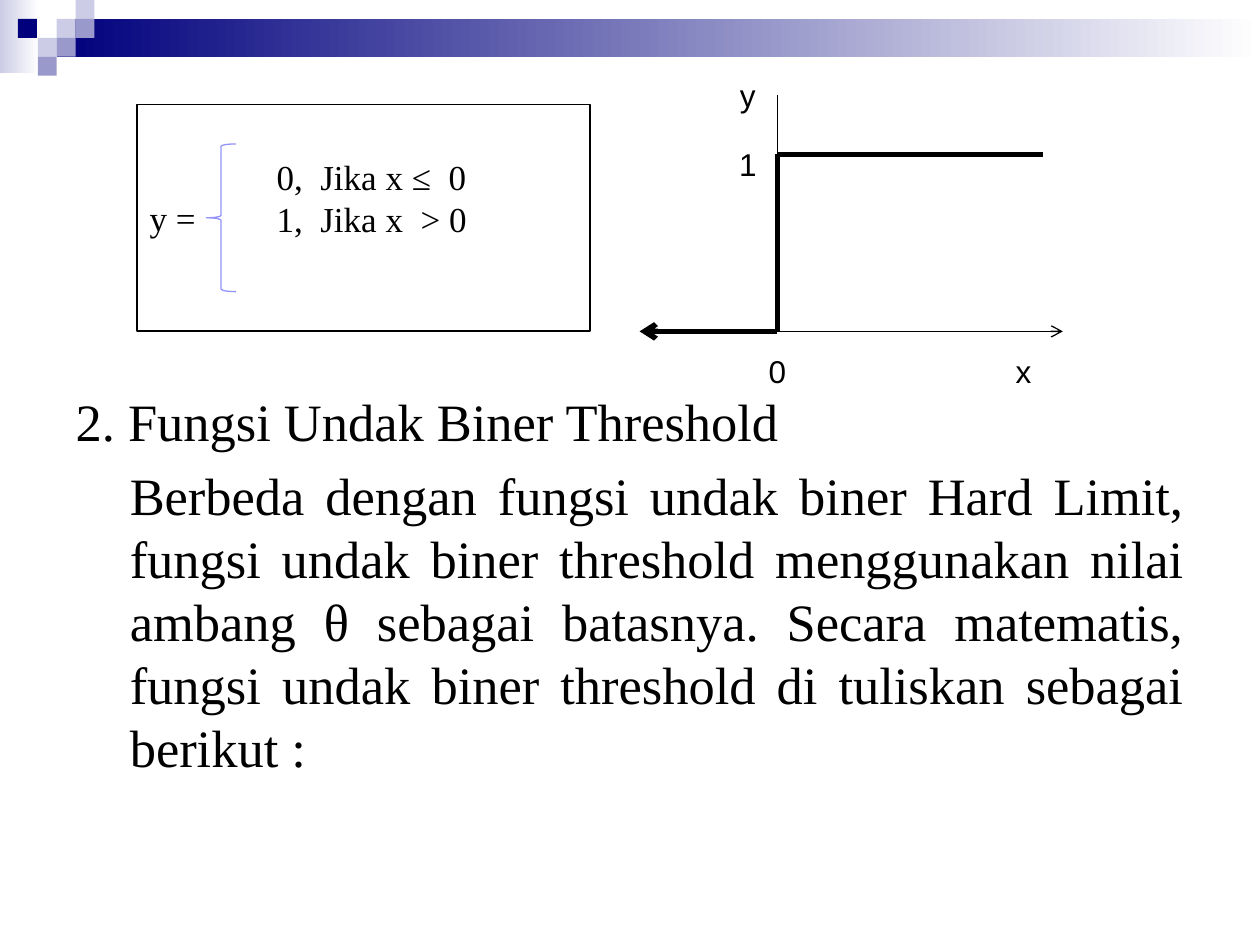
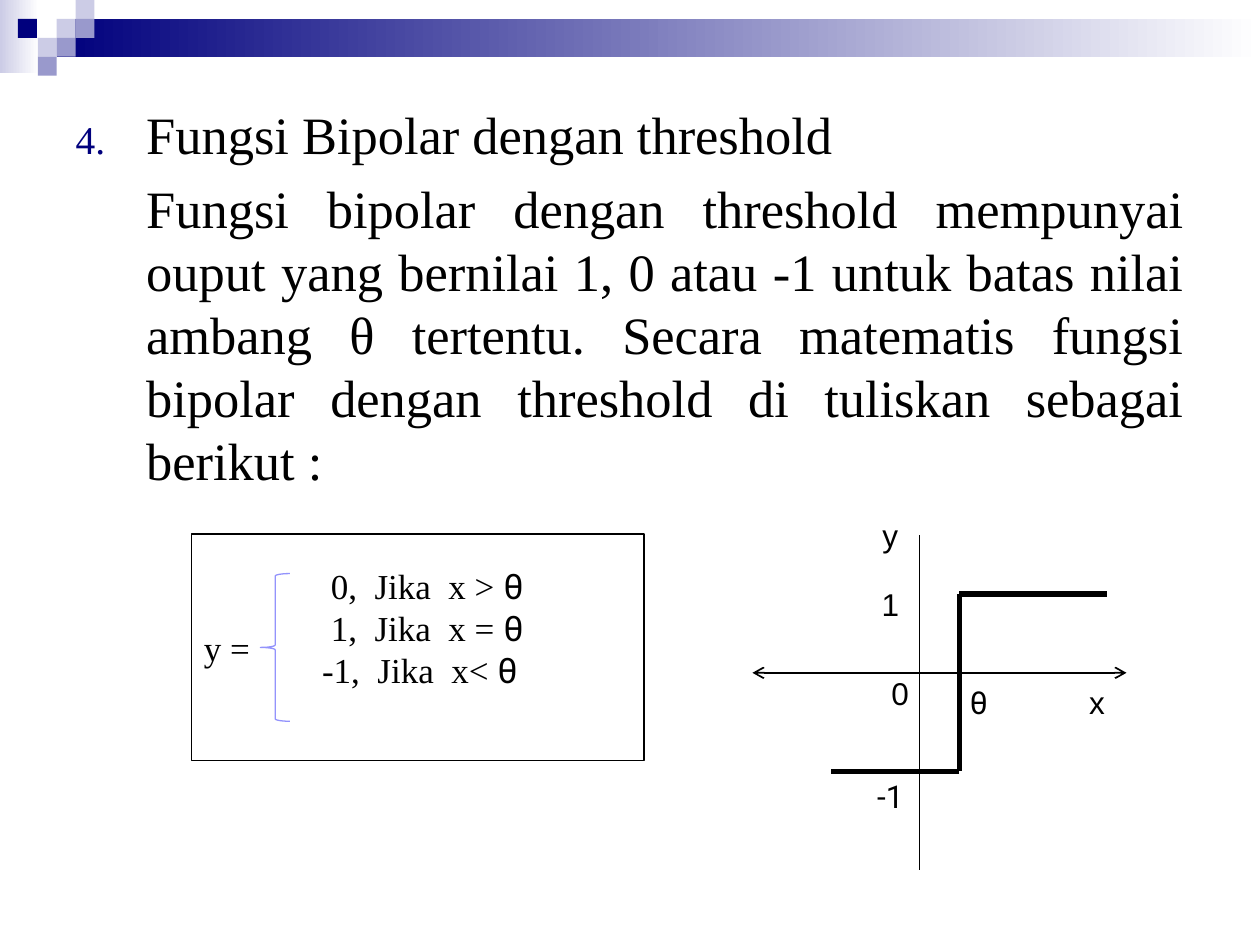
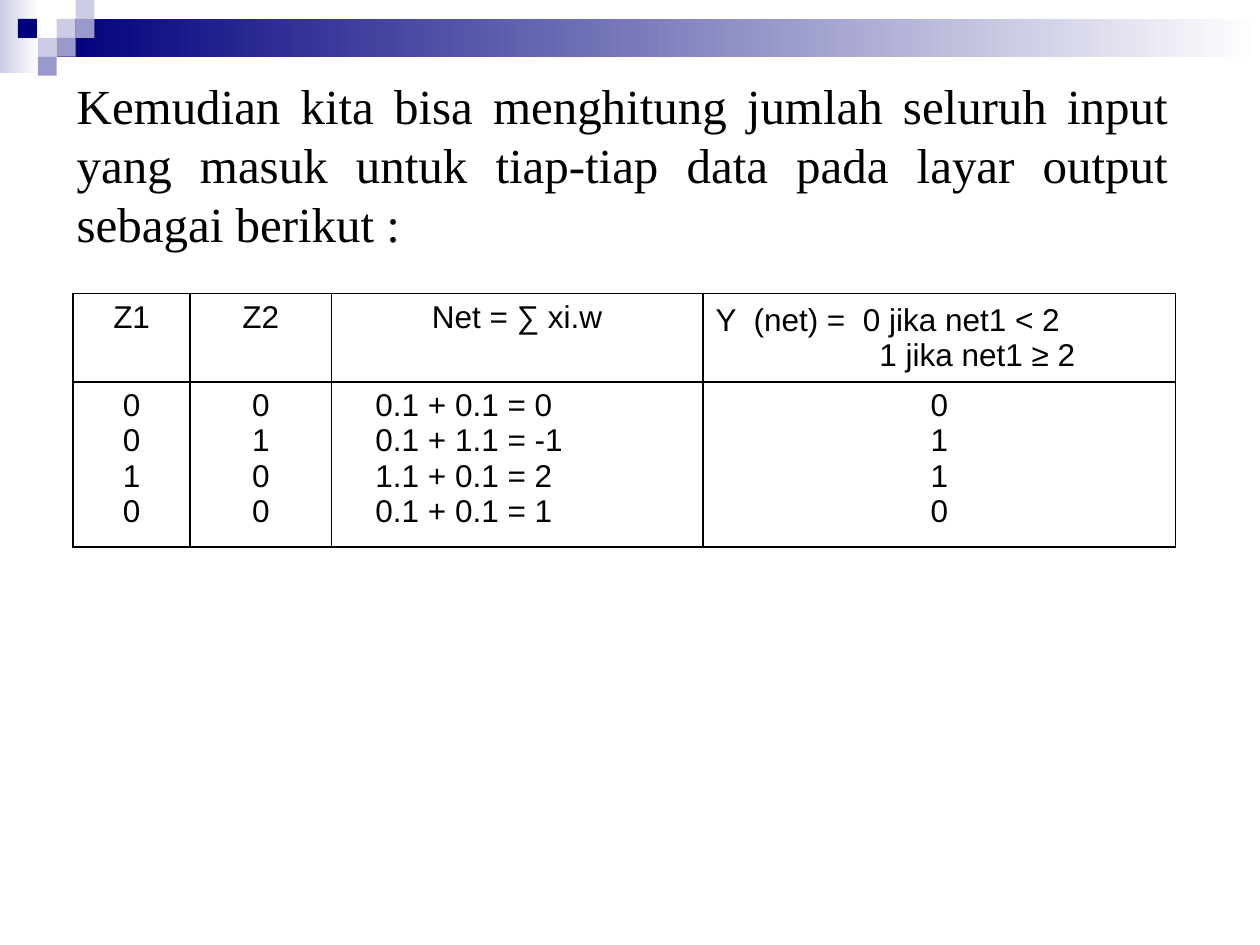
from lxml import etree
from pptx import Presentation
from pptx.dml.color import RGBColor
from pptx.enum.shapes import MSO_CONNECTOR, MSO_SHAPE
from pptx.enum.text import MSO_ANCHOR, MSO_AUTO_SIZE, PP_ALIGN
from pptx.oxml.ns import qn
from pptx.util import Inches, Pt

RECT, BRACE = MSO_SHAPE.RECTANGLE, MSO_SHAPE.LEFT_BRACE
STRAIGHT = MSO_CONNECTOR.STRAIGHT
LEFT, CENTER, JUSTIFY = PP_ALIGN.LEFT, PP_ALIGN.CENTER, PP_ALIGN.JUSTIFY
TOP, MIDDLE = MSO_ANCHOR.TOP, MSO_ANCHOR.MIDDLE

SERIF, SANS, GREEK = "Times New Roman", "Arial", "Roboto"
BLACK, WHITE = "000000", "FFFFFF"
NAVY, LILAC, PALE, BRACE_BLUE = "00007D", "9999CC", "CCCCE6", "9393FC"

UNIT = 5 / 64   # grid step of formulas and graphs, inches
TILE = 0.15     # side of one tile in the top band, inches
THIN, MEDIUM, THICK = 0.75, 1, 3


def rgb(code):
    return RGBColor.from_string(code)


def box_inches(left, top, width, height):
    return [Inches(v) for v in (left, top, width, height)]


def on_grid(origin, column, row, columns, rows):
    return box_inches(origin[0] + column * UNIT, origin[1] + row * UNIT,
                      columns * UNIT, rows * UNIT)


def set_font(font, size, name=SERIF):
    font.size, font.name = Pt(size), name
    font.color.rgb = rgb(BLACK)


def set_indent(paragraph, margin, first=0):
    properties = paragraph._p.get_or_add_pPr()
    properties.set("marL", str(Inches(margin)))
    properties.set("indent", str(Inches(first)))
    return properties


# Shared top band, kept on the master
def add_band(prs, slide):
    band = slide.shapes.add_group_shape()

    def add_block(left, top, width, height, color, fades=False):
        block = band.shapes.add_shape(
            RECT, *box_inches(left, top, width, height))
        block.shadow.inherit = False
        block.line.fill.background()
        if fades:
            block.fill.gradient()
            block.fill.gradient_angle = 0
            for stop, shade in zip(block.fill.gradient_stops, (color, WHITE)):
                stop.color.rgb = rgb(shade)
        else:
            block.fill.solid()
            block.fill.fore_color.rgb = rgb(color)

    add_block(0, 0, 0.31, 0.58, PALE, fades=True)
    add_block(3 * TILE, TILE, 10 - 3 * TILE, 2 * TILE, NAVY, fades=True)
    for column, row, color in ((3, 1, PALE), (4, 0, PALE), (4, 1, LILAC),
                               (2, 2, PALE), (0.95, 1, NAVY),
                               (3, 2, LILAC), (2, 3, LILAC)):
        add_block(column * TILE, row * TILE, TILE, TILE, color)

    for number, item in enumerate(band.element.iter(qn("p:cNvPr")), 100):
        item.set("id", str(number))
    prs.slide_master.element.cSld.spTree.insert(2, band.element)


# Heading and justified explanation in the body placeholder
def add_body(slide, top, height, indent, heading, explanation, number=None):
    body = slide.placeholders[1]
    body.left, body.top, body.width, body.height = box_inches(
        0.5, top, 9, height)
    frame = body.text_frame
    frame.auto_size = MSO_AUTO_SIZE.NONE
    frame.text = heading
    frame.add_paragraph().text = explanation
    for paragraph, first, align in zip(frame.paragraphs, (-indent, 0),
                                       (LEFT, JUSTIFY)):
        paragraph.alignment = align
        set_font(paragraph.font, 30)
        properties = set_indent(paragraph, indent, first)
        if number and first:
            color = etree.SubElement(properties, qn("a:buClr"))
            etree.SubElement(color, qn("a:srgbClr"), val=NAVY)
            etree.SubElement(properties, qn("a:buSzPct"), val="75000")
            etree.SubElement(properties, qn("a:buFont"), typeface=SERIF)
            etree.SubElement(properties, qn("a:buAutoNum"),
                             type="arabicPeriod", startAt=str(number))
        else:
            etree.SubElement(properties, qn("a:buNone"))


# Framed formula: "y =", a brace and its cases
def add_formula(slide, origin, cases):
    shapes = slide.shapes.add_group_shape().shapes
    frame_box = shapes.add_shape(RECT, *on_grid(origin, 0, 0, 46, 23))
    frame_box.fill.solid()
    frame_box.fill.fore_color.rgb = rgb(WHITE)
    brace = shapes.add_shape(BRACE, *on_grid(origin, 7, 4, 3, 15))
    brace.fill.background()
    for outline, color, width in ((frame_box, BLACK, MEDIUM),
                                  (brace, BRACE_BLUE, THIN)):
        outline.shadow.inherit = False
        outline.line.color.rgb = rgb(color)
        outline.line.width = Pt(width)

    frame_box.text_frame.text = "y ="
    frame_box.text_frame.vertical_anchor = MIDDLE
    left_side = frame_box.text_frame.paragraphs[0]
    left_side.alignment = LEFT
    set_font(left_side.font, 20)

    case_list = shapes.add_textbox(*on_grid(origin, 12, 4, 25, 15)).text_frame
    case_list.word_wrap = True
    case_list.vertical_anchor = MIDDLE
    case_list.margin_bottom = Inches(0.37)
    for index, case in enumerate(cases):
        line = case_list.add_paragraph() if index else case_list.paragraphs[0]
        condition, theta, _ = case.partition("θ")
        for part, font_name in ((condition, SERIF), (theta, GREEK)):
            if part:
                run = line.add_run()
                run.text = part
                set_font(run.font, 20, font_name)


# Graph: lines and labels in grid steps from the origin
def add_graph(slide, origin, lines, labels):
    shapes = slide.shapes.add_group_shape().shapes
    for start, end, width, arrows in lines:
        points = [Inches(base + step * UNIT) for point in (start, end)
                  for base, step in zip(origin, point)]
        line = shapes.add_connector(STRAIGHT, *points)
        line.line.color.rgb = rgb(BLACK)
        line.line.width = Pt(width)
        properties = line.element.spPr
        for arrow in arrows:
            etree.SubElement(properties.find(qn("a:ln")), qn(f"a:{arrow}"),
                             type="arrow")
        etree.SubElement(properties, qn("a:effectLst"))
    for text, column, row, columns, rows, font_name in labels:
        frame = shapes.add_textbox(
            *on_grid(origin, column, row, columns, rows)).text_frame
        frame.margin_left = frame.margin_right = 0
        frame.margin_top = frame.margin_bottom = 0
        frame.word_wrap = False
        frame.vertical_anchor = MIDDLE
        frame.text = text
        frame.paragraphs[0].alignment = CENTER
        set_font(frame.paragraphs[0].font, 18, font_name)


def fill_cell(cell, lines, aligns, indents, anchor=TOP):
    cell.text = "\n".join(lines)
    cell.vertical_anchor = anchor
    for paragraph, align, indent in zip(cell.text_frame.paragraphs,
                                        aligns, indents):
        paragraph.alignment = align
        set_font(paragraph.font, 18, SANS)
        set_indent(paragraph, indent)
    properties = cell._tc.get_or_add_tcPr()
    for side in ("lnL", "lnR", "lnT", "lnB"):
        border = etree.SubElement(properties, qn(f"a:{side}"), w=str(Pt(1)))
        paint = etree.SubElement(border, qn("a:solidFill"))
        etree.SubElement(paint, qn("a:srgbClr"), val=BLACK)
    cell.fill.background()


def add_net_table(slide):
    table = slide.shapes.add_table(2, 4, *box_inches(0.58, 2.33, 8.75, 2)).table
    table.first_row = table.horz_banding = False
    for column, width in zip(table.columns, (0.93, 1.12, 2.95, 3.75)):
        column.width = Inches(width)
    for row, height in zip(table.rows, (0.69, 1.31)):
        row.height = Inches(height)

    for column, heading in enumerate(("Z1", "Z2", "Net = ∑ xi.w")):
        fill_cell(table.cell(0, column), [heading], [CENTER], [0])
    fill_cell(table.cell(0, 3),
              ["Y  (net) =  0 jika net1 < 2", "1 jika net1 ≥ 2"],
              [LEFT] * 2, [0, 1.3], MIDDLE)

    sums = ["0.1 + 0.1 = 0", "0.1 + 1.1 = -1", "1.1 + 0.1 = 2", "0.1 + 0.1 = 1"]
    for column, (values, align, indent) in enumerate((
            ("0010", CENTER, 0), ("0100", CENTER, 0),
            (sums, LEFT, 0.25), ("0110", CENTER, 0))):
        fill_cell(table.cell(1, column), values, [align] * 4, [indent] * 4)


def add_content_slide(prs):
    slide = prs.slides.add_slide(prs.slide_layouts[1])
    title = slide.shapes.title.element
    title.getparent().remove(title)
    return slide


def build_binary_step(prs):
    slide = add_content_slide(prs)
    add_band(prs, slide)
    add_body(slide, 3.04, 3.94, 0.43, "2. Fungsi Undak Biner Threshold",
             "Berbeda dengan fungsi undak biner Hard Limit, fungsi undak biner "
             "threshold menggunakan nilai ambang θ sebagai batasnya. Secara "
             "matematis, fungsi undak biner threshold di tuliskan sebagai "
             "berikut :")
    add_formula(slide, (1.09, 0.83), [" 0,  Jika x ≤  0", " 1,  Jika x  > 0"])
    add_graph(slide, (6.17, 2.63), [
        ((0, -24), (0, 0), THIN, []),
        ((-14, 0), (29, 0), THIN, ["tailEnd"]),
        ((0, -18), (27, -18), THICK, []),
        ((0, -18), (0, 0), THICK, []),
        ((0, 0), (-14, 0), THICK, ["tailEnd"]),
    ], [
        ("1", -5, -19, 4, 4, SANS), ("0", -2, 2, 4, 4, SANS),
        ("x", 23, 2, 4, 4, SANS), ("y", -5, -26, 4, 4, SANS),
    ])


def build_bipolar_step(prs):
    slide = add_content_slide(prs)
    add_body(slide, 0.76, 3.38, 0.56, "Fungsi Bipolar dengan threshold",
             "Fungsi bipolar dengan threshold mempunyai ouput yang bernilai "
             "1, 0 atau -1 untuk batas nilai ambang θ tertentu. Secara "
             "matematis fungsi bipolar dengan threshold di tuliskan sebagai "
             "berikut :", number=4)
    add_formula(slide, (1.52, 4.24), [" 0,  Jika  x > θ", " 1,  Jika  x = θ",
                                      "-1,  Jika  x< θ"])
    add_graph(slide, (7.3, 5.34), [
        ((0, -14), (0, 20), THIN, []),
        ((4, -8), (19, -8), THICK, []),
        ((4, -8), (4, 10), THICK, []),
        ((4, 10), (-9, 10), THICK, []),
        ((-17, 0), (21, 0), MEDIUM, ["headEnd", "tailEnd"]),
    ], [
        ("1", -5, -9, 4, 4, SANS), ("0", -4, 0, 4, 4, SANS),
        ("x", 16, 1, 4, 4, SANS), ("y", -5, -16, 4, 4, SANS),
        ("-1", -6, 11, 6, 3, GREEK), ("θ", 4, 1, 4, 4, GREEK),
    ])


def build_net_sums(prs):
    slide = prs.slides.add_slide(prs.slide_layouts[6])
    intro = slide.shapes.add_textbox(
        *box_inches(0.39, 0.55, 8.98, 1.51)).text_frame
    intro.word_wrap = True
    intro.text = ("Kemudian kita bisa menghitung jumlah seluruh input yang "
                  "masuk untuk tiap-tiap data pada layar output sebagai "
                  "berikut :")
    sentence = intro.paragraphs[0]
    sentence.alignment = JUSTIFY
    set_font(sentence.font, 28)
    set_indent(sentence, 0.12)
    add_net_table(slide)


def main():
    prs = Presentation()
    prs.slide_width, prs.slide_height = Inches(10), Inches(7.5)
    build_binary_step(prs)
    build_bipolar_step(prs)
    build_net_sums(prs)
    prs.save("out.pptx")


main()
